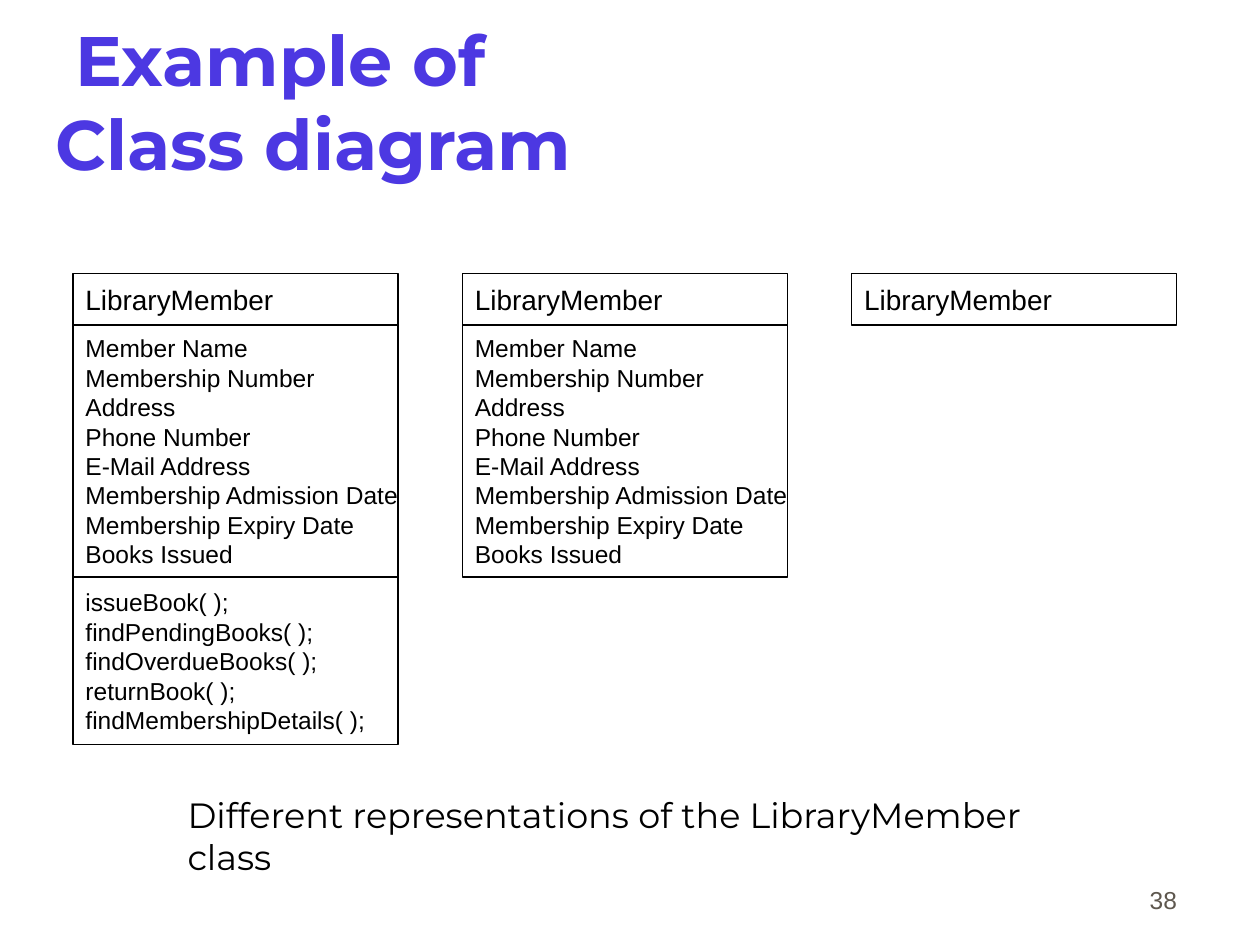
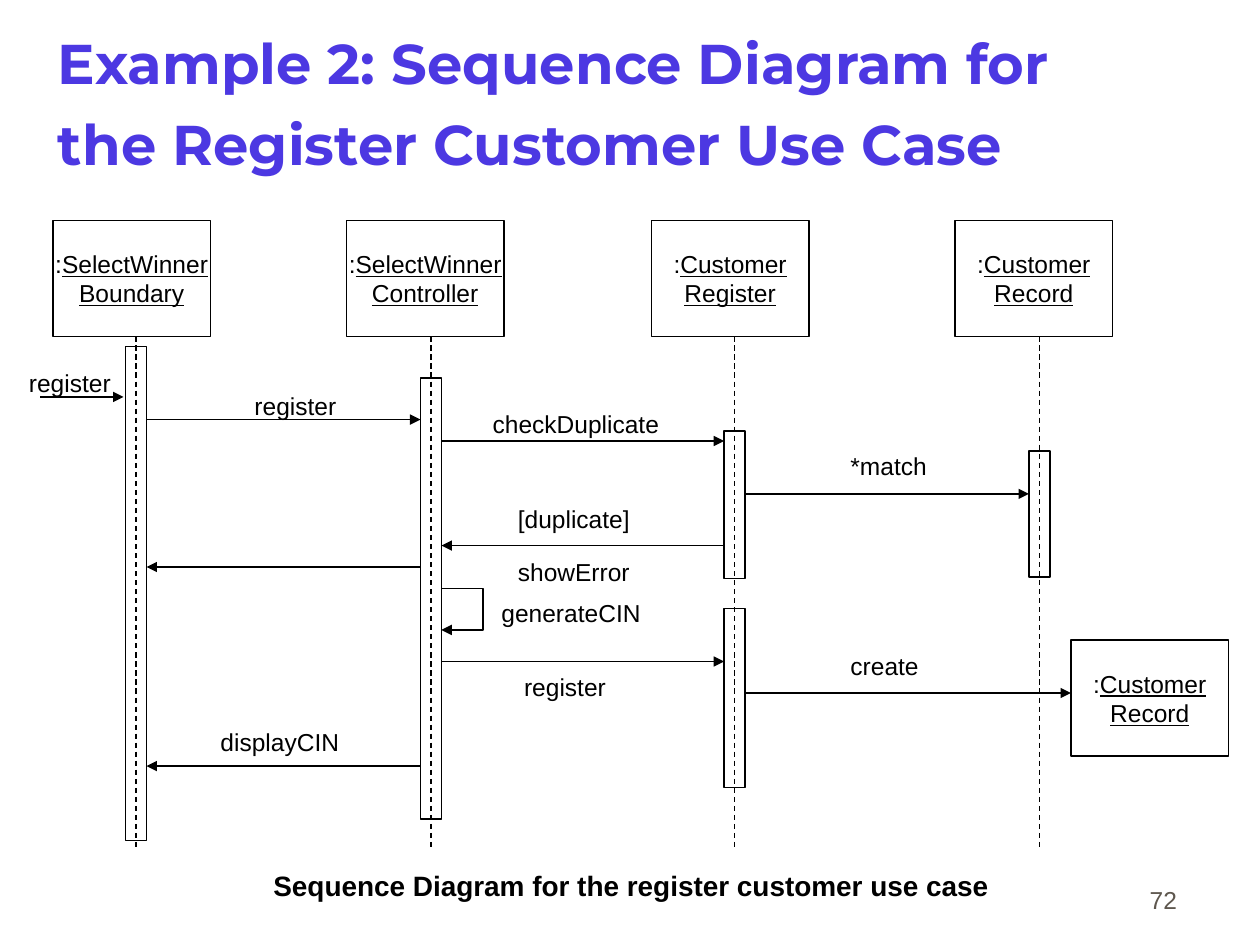
from dataclasses import dataclass

from lxml.etree import SubElement
from pptx import Presentation
from pptx.dml.color import RGBColor
from pptx.enum.dml import MSO_LINE
from pptx.enum.shapes import MSO_CONNECTOR, MSO_SHAPE
from pptx.enum.text import MSO_ANCHOR, PP_ALIGN
from pptx.oxml.ns import qn
from pptx.util import Inches, Pt


@dataclass(frozen=True)
class Theme:
    title: RGBColor = RGBColor(0x4C, 0x38, 0xE2)
    ink: RGBColor = RGBColor(0, 0, 0)
    number: RGBColor = RGBColor(0x5E, 0x57, 0x4E)
    display: str = "Montserrat"
    body: str = "Arial"
    title_size: int = 40
    long_title_size: int = 32
    caption_size: int = 20
    head_size: int = 16
    text_size: int = 14
    line: float = 0.75


T = Theme()

# Class diagram content: one list of compartments per representation
NAME = ["LibraryMember"]
ATTRIBUTES = ["Member Name", "Membership Number", "Address", "Phone Number",
              "E-Mail Address", "Membership Admission Date",
              "Membership Expiry Date", "Books Issued"]
OPERATIONS = ["issueBook( );", "findPendingBooks( );", "findOverdueBooks( );",
              "returnBook( );", "findMembershipDetails( );"]
REPRESENTATIONS = [[NAME, ATTRIBUTES, OPERATIONS], [NAME, ATTRIBUTES], [NAME]]
COMPARTMENTS = [(0.41, T.head_size), (2, T.text_size), (1.33, T.text_size)]
CLASS_LEFT, CLASS_TOP, CLASS_W, CLASS_STEP = 0.58, 2.17, 2.58, 3.09

# Sequence diagram content
OBJECT_W, OBJECT_H, OBJECT_TOP = 1.25, 0.92, 1.75
LIFELINE_END = 6.75
BAR_HALF = 1 / 12
OBJECTS = {  # key: (words, box left, lifeline x, activation bars as (top, height))
    "boundary": ("SelectWinner", "Boundary", 0.42, 1.08, [(2.75, 3.92)]),
    "controller": ("SelectWinner", "Controller", 2.75, 3.42, [(3, 3.5)]),
    "register": ("Customer", "Register", 5.17, 5.83, [(3.42, 1.17), (4.83, 1.42)]),
    "record": ("Customer", "Record", 7.58, 8.25, [(3.58, 1)]),
}
NEW_RECORD = ("Customer", "Record", 8.5, 5.08)
MESSAGES = [  # sender, receiver, y
    ("boundary", "controller", 3.33),
    ("controller", "register", 3.5),
    ("register", "record", 3.92),
    ("register", "controller", 4.33),
    ("controller", "boundary", 4.5),
    ("controller", "register", 5.25),
    ("controller", "boundary", 6.08),
]
LABELS = [  # text, left, top, width with a little room to spare
    ("register", 0.23, 2.92, 0.7),
    ("register", 2.02, 3.1, 0.7),
    ("checkDuplicate", 3.91, 3.25, 1.4),
    ("*match", 6.75, 3.58, 0.7),
    ("[duplicate]", 4.11, 4, 0.95),
    ("showError", 4.11, 4.42, 0.95),
    ("generateCIN", 3.98, 4.75, 1.2),
    ("create", 6.75, 5.17, 0.6),
    ("register", 4.16, 5.33, 0.7),
    ("displayCIN", 1.75, 5.77, 1),
]


# Shared helpers
def set_font(r, size, color=T.ink, name=T.body, bold=False):
    r.font.size, r.font.name, r.font.bold = Pt(size), name, bold
    r.font.color.rgb = color


def write(tf, text, size, align=PP_ALIGN.LEFT, **font):
    tf.text = text
    for p in tf.paragraphs:
        p.alignment = align
        for r in p.runs:
            set_font(r, size, **font)


def add_text(s, text, left, top, width, height, size, inset=(0, 0),
             anchor=MSO_ANCHOR.TOP, **style):
    sp = s.shapes.add_textbox(*map(Inches, (left, top, width, height)))
    tf = sp.text_frame
    tf.margin_left = tf.margin_right = Inches(inset[0])
    tf.margin_top = tf.margin_bottom = Inches(inset[1])
    tf.vertical_anchor, tf.word_wrap = anchor, True
    write(tf, text, size, **style)
    return tf


def outline(sp):
    sp.shadow.inherit = False
    sp.fill.background()
    sp.line.color.rgb, sp.line.width = T.ink, Pt(T.line)


def add_box(s, left, top, width, height):
    sp = s.shapes.add_shape(MSO_SHAPE.RECTANGLE, *map(Inches, (left, top, width, height)))
    outline(sp)
    sp.text_frame.word_wrap = False
    sp.text_frame.vertical_anchor = MSO_ANCHOR.MIDDLE
    return sp


def add_arrowhead(sp):
    SubElement(sp.line._get_or_add_ln(), qn("a:tailEnd"), type="triangle")


def add_line(s, x1, y1, x2, y2, dashed=False):
    sp = s.shapes.add_connector(MSO_CONNECTOR.STRAIGHT, *map(Inches, (x1, y1, x2, y2)))
    sp.line.color.rgb, sp.line.width = T.ink, Pt(T.line)
    if dashed:
        sp.line.dash_style = MSO_LINE.DASH
    else:
        add_arrowhead(sp)
    SubElement(sp._element.spPr, qn("a:effectLst"))


def new_slide(prs, title, left, top, size, number):
    s = prs.slides.add_slide(prs.slide_layouts[6])
    tf = add_text(s, title, left, top, 8.5, 1.25, size, (0.02, 0.05),
                  MSO_ANCHOR.MIDDLE, color=T.title, name=T.display, bold=True)
    add_text(s, number, 7.36, 6.81, 2.08, 0.5, T.text_size, (0.1, 0.05),
             MSO_ANCHOR.BOTTOM, align=PP_ALIGN.RIGHT, color=T.number)
    return s, tf


# Slide: class diagram
def class_slide(prs):
    s, _ = new_slide(prs, " Example of\vClass diagram", 0.42, 0.17, T.title_size, "38")
    for i, representation in enumerate(REPRESENTATIONS):
        top = CLASS_TOP
        for lines, (height, size) in zip(representation, COMPARTMENTS):
            sp = add_box(s, CLASS_LEFT + i * CLASS_STEP, top, CLASS_W, height)
            write(sp.text_frame, "\n".join(lines), size)
            top += height
    add_text(s, "Different representations of the LibraryMember class",
             1.39, 6.25, 7.16, 0.44, T.caption_size, (0.1, 0.05), name=T.display)


# Slide: sequence diagram
def add_object(s, first, second, left, top):
    tf = add_box(s, left, top, OBJECT_W, OBJECT_H).text_frame
    write(tf, f":\n{second}", T.text_size, PP_ALIGN.CENTER)
    r = tf.paragraphs[0].add_run()
    r.text = first
    set_font(r, T.text_size)
    r.font.underline = tf.paragraphs[1].runs[0].font.underline = True


def add_self_message(s, x, top, size):
    fb = s.shapes.build_freeform(Inches(x), Inches(top))
    corners = [(x + size, top), (x + size, top + size), (x, top + size)]
    fb.add_line_segments([(Inches(a), Inches(b)) for a, b in corners], close=False)
    sp = fb.convert_to_shape()
    outline(sp)
    add_arrowhead(sp)


def sequence_slide(prs):
    s, tf = new_slide(prs, "Example 2: Sequence Diagram for the Register Customer Use Case",
                      0.44, 0.2, T.long_title_size, "72")
    # The larger closing space sets the height of the last title line
    r = tf.paragraphs[0].add_run()
    r.text = " "
    set_font(r, T.title_size, T.title, T.display, True)

    # Objects, lifelines and activation bars
    for first, second, left, x, bars in OBJECTS.values():
        add_object(s, first, second, left, OBJECT_TOP)
        add_line(s, x, OBJECT_TOP + OBJECT_H, x, LIFELINE_END, dashed=True)
        for top, height in bars:
            add_box(s, x - BAR_HALF, top, 2 * BAR_HALF, height)
    add_object(s, *NEW_RECORD)

    # Messages run between the facing sides of two bars
    lifeline = {key: o[3] for key, o in OBJECTS.items()}
    for sender, receiver, y in MESSAGES:
        x1, x2 = lifeline[sender], lifeline[receiver]
        gap = BAR_HALF if x2 > x1 else -BAR_HALF
        add_line(s, x1 + gap, y, x2 - gap, y)
    add_line(s, 0.32, 3.15, 0.98, 3.15)
    add_line(s, lifeline["register"] + BAR_HALF, 5.5, NEW_RECORD[2], 5.5)
    add_self_message(s, lifeline["controller"] + BAR_HALF, 4.67, 0.33)

    # Labels and caption
    for text, left, top, width in LABELS:
        add_text(s, text, left, top, width, 0.23, T.text_size)
    add_text(s, "Sequence Diagram for the register customer use case",
             2.17, 6.89, 5.8, 0.27, T.head_size, bold=True)


def main():
    prs = Presentation()
    prs.slide_width, prs.slide_height = Inches(10), Inches(7.5)
    class_slide(prs)
    sequence_slide(prs)
    prs.save("out.pptx")


if __name__ == "__main__":
    main()
